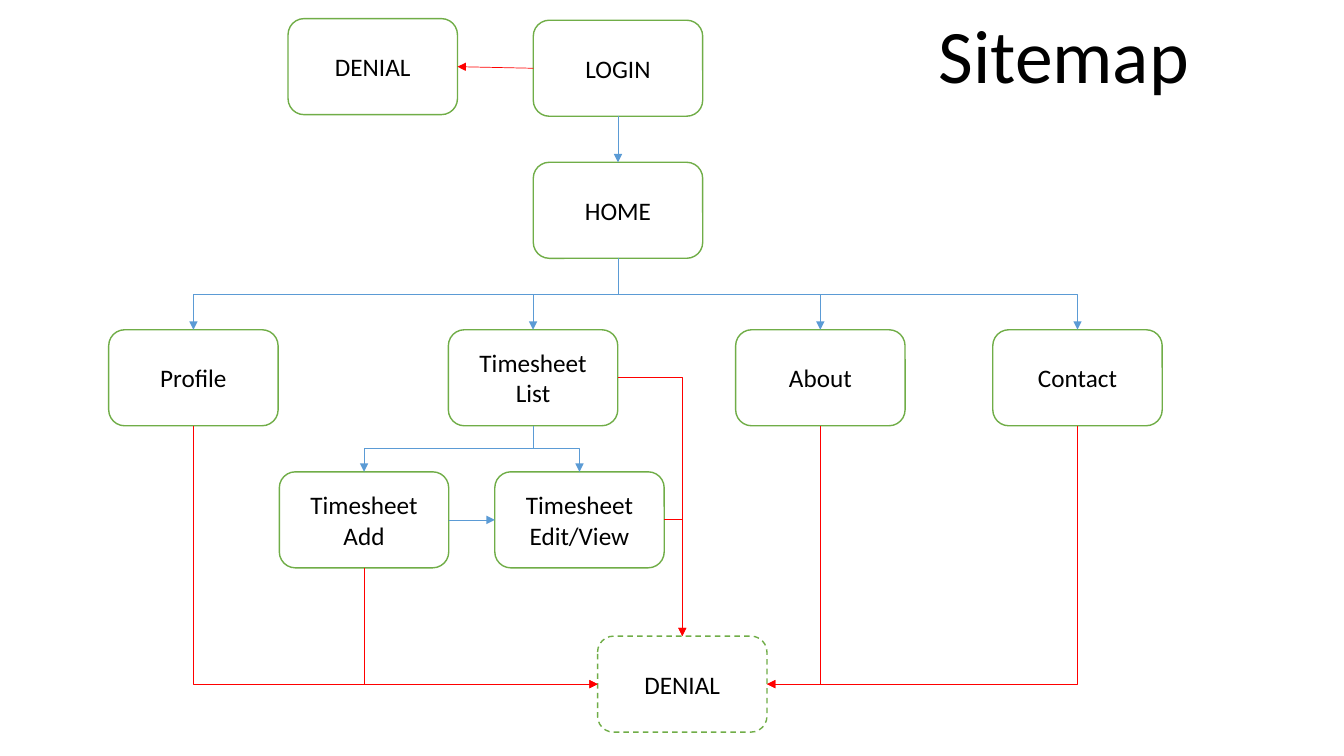
from dataclasses import dataclass

from lxml import etree
from pptx import Presentation
from pptx import util as u
from pptx.dml.color import RGBColor
from pptx.enum import dml, shapes, text
from pptx.oxml import ns

WHITE = RGBColor(0xFF, 0xFF, 0xFF)
BLACK = RGBColor(0x00, 0x00, 0x00)
GREEN = RGBColor(0x70, 0xAD, 0x47)
BLUE = RGBColor(0x5B, 0x9B, 0xD5)
RED = RGBColor(0xFF, 0x00, 0x00)

FONT = "Calibri"
WIDE, HIGH = u.Cm(4.27), u.Cm(2.42)
TOP, LEFT, BASE, RIGHT = range(4)
BENT, ANGLE = "bentConnector3", "bentConnector2"


@dataclass
class Page:
    key: str
    label: str
    x: float
    y: float
    dashed: bool = False


@dataclass
class Link:
    start: str
    exit: int
    end: str
    entry: int
    color: RGBColor
    bend: str = ""


PAGES = [
    Page("login", "LOGIN", 13.44, 0.51),
    Page("home", "HOME", 13.44, 4.09),
    Page("profile", "Profile", 2.74, 8.31),
    Page("list", "Timesheet\nList", 11.3, 8.31),
    Page("edit", "Timesheet\vEdit/View", 12.47, 11.89),
    Page("add", "Timesheet\vAdd", 7.04, 11.89),
    Page("about", "About", 18.54, 8.31),
    Page("contact", "Contact", 25.02, 8.31),
    Page("refused", "DENIAL", 7.26, 0.47),
    Page("denied", "DENIAL", 15.06, 16.03, True),
]

LINKS = [
    Link("login", BASE, "home", TOP, BLUE),
    *(Link("home", BASE, end, TOP, BLUE, BENT)
      for end in ("profile", "contact", "list", "about")),
    Link("add", RIGHT, "edit", LEFT, BLUE),
    *(Link("list", BASE, end, TOP, BLUE, BENT) for end in ("add", "edit")),
    Link("login", LEFT, "refused", RIGHT, RED),
    *(Link(start, BASE, "denied", side, RED, ANGLE)
      for start, side in (("profile", LEFT), ("contact", RIGHT),
                          ("about", RIGHT), ("add", LEFT))),
    *(Link(start, RIGHT, "denied", TOP, RED, ANGLE)
      for start in ("edit", "list")),
]


def style(frame, size: float) -> None:
    for para in frame.paragraphs:
        para.alignment = text.PP_ALIGN.CENTER
        para.font.name = FONT
        para.font.size = u.Pt(size)
        para.font.color.rgb = BLACK


def draw_page(slide, page: Page):
    box = slide.shapes.add_shape(shapes.MSO_SHAPE.ROUNDED_RECTANGLE,
                                 u.Cm(page.x), u.Cm(page.y), WIDE, HIGH)
    box.shadow.inherit = False
    box.fill.solid()
    box.fill.fore_color.rgb = WHITE
    box.line.color.rgb = GREEN
    box.line.width = u.Pt(1)
    if page.dashed:
        box.line.dash_style = dml.MSO_LINE.DASH
    frame = box.text_frame
    frame.text = page.label
    frame.word_wrap = True
    frame.vertical_anchor = text.MSO_ANCHOR.MIDDLE
    style(frame, 18)
    return box


def bend_line(line, link: Link) -> None:
    props = line._element.spPr
    props.find(ns.qn("a:prstGeom")).set("prst", link.bend)
    if link.exit != BASE:
        return
    across = line.end_x - line.begin_x
    down = line.end_y - line.begin_y
    mid_x = (line.begin_x + line.end_x) // 2
    mid_y = (line.begin_y + line.end_y) // 2
    line.left, line.top = mid_x - down // 2, mid_y - abs(across) // 2
    line.width, line.height = down, abs(across)
    frame = props.find(ns.qn("a:xfrm"))
    frame.set("rot", str((270 if across > 0 else 90) * 60000))
    frame.set("flipH", str(int(across > 0)))


def draw_link(slide, link: Link, boxes: dict) -> None:
    kind = shapes.MSO_CONNECTOR.ELBOW if link.bend else shapes.MSO_CONNECTOR.STRAIGHT
    line = slide.shapes.add_connector(kind, 0, 0, 0, 0)
    line.begin_connect(boxes[link.start], link.exit)
    line.end_connect(boxes[link.end], link.entry)
    if link.bend:
        bend_line(line, link)
    line.line.color.rgb = link.color
    line.line.width = u.Pt(0.5)
    props = line._element.spPr
    etree.SubElement(props.find(ns.qn("a:ln")), ns.qn("a:tailEnd"), type="triangle")
    etree.SubElement(props, ns.qn("a:effectLst"))


def draw_title(slide) -> None:
    title = slide.shapes.title
    title.left, title.top = u.Cm(23.37), u.Cm(0.08)
    title.width, title.height = u.Cm(6.88), u.Cm(2.57)
    frame = title.text_frame
    frame.text = "Sitemap"
    frame.word_wrap = False
    frame.auto_size = text.MSO_AUTO_SIZE.SHAPE_TO_FIT_TEXT
    frame.vertical_anchor = text.MSO_ANCHOR.TOP
    style(frame, 54)


def main() -> None:
    deck = Presentation()
    deck.slide_width, deck.slide_height = u.Cm(33.87), u.Cm(19.05)
    slide = deck.slides.add_slide(deck.slide_layouts[5])
    draw_title(slide)
    boxes = {page.key: draw_page(slide, page) for page in PAGES}
    for link in LINKS:
        draw_link(slide, link, boxes)
    deck.save("out.pptx")


if __name__ == "__main__":
    main()
